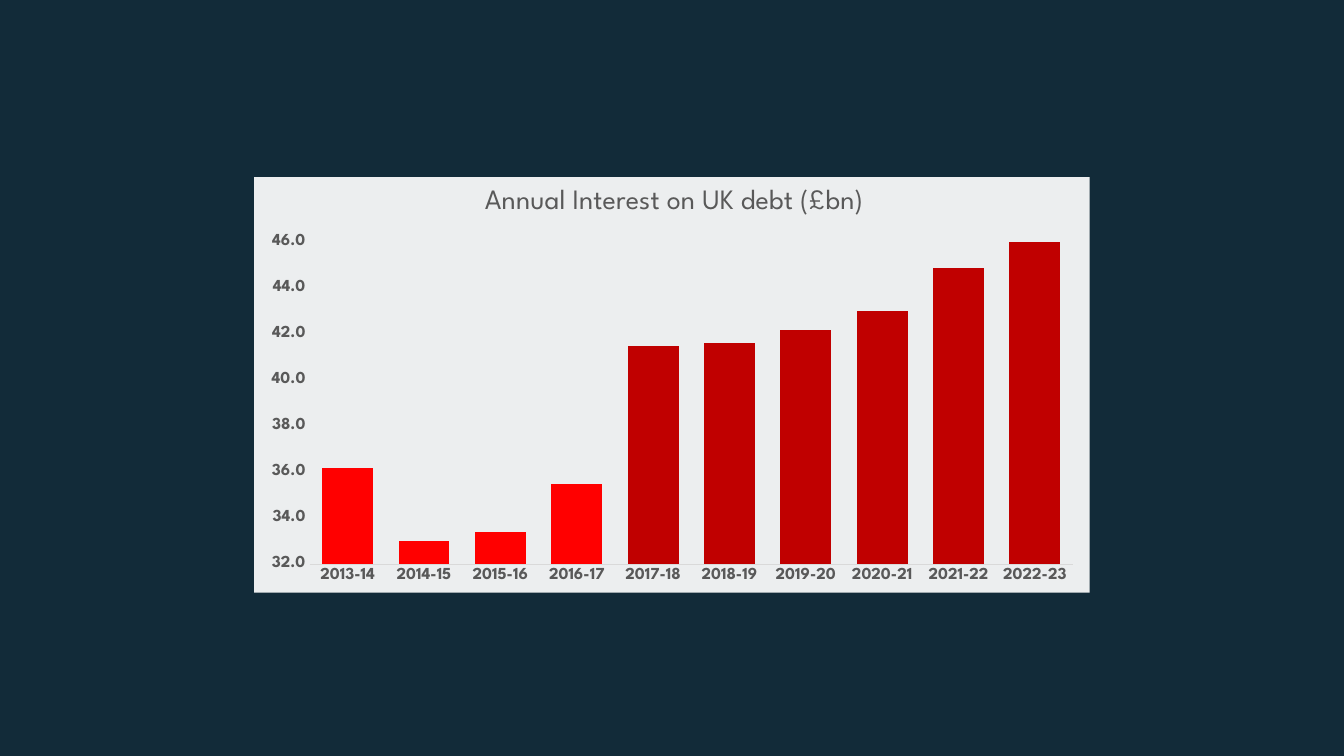
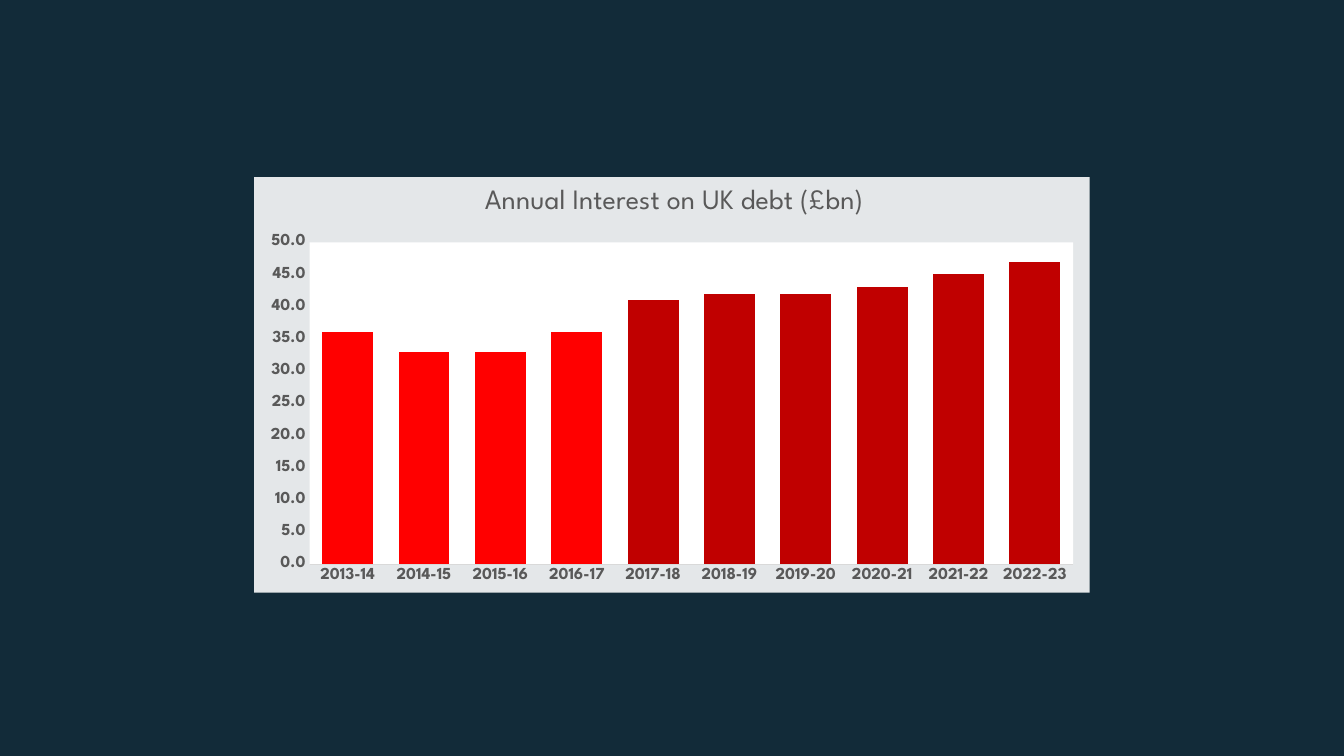
from dataclasses import dataclass

from lxml.etree import _Element
from pptx import Presentation
from pptx.chart.axis import _BaseAxis
from pptx.chart.chart import Chart
from pptx.chart.data import CategoryChartData
from pptx.dml.color import RGBColor
from pptx.enum.chart import XL_CHART_TYPE, XL_TICK_MARK
from pptx.oxml import parse_xml
from pptx.oxml.ns import nsdecls, qn
from pptx.slide import Slide
from pptx.text.text import Font
from pptx.util import Pt


@dataclass(frozen=True)
class Theme:
    background: str = "122B39"
    panel: str = "FFFFFF"
    text: str = "595959"
    axis_line: str = "D9D9D9"
    early_bar: str = "FF0000"
    late_bar: str = "C00000"
    font: str = "League Spartan"
    title_size: int = 20
    label_size: int = 12


@dataclass(frozen=True)
class Box:
    left: float
    top: float
    width: float
    height: float


@dataclass(frozen=True)
class DebtChart:
    interest: tuple[float, ...]
    minimum: float
    maximum: float
    step: float
    panel_opacity: int
    plot_filled: bool = False


THEME = Theme()
PANEL = Box(181.6, 126.6, 596.8, 296.8)
PLOT = Box(39.5, 46.5, 545.5, 230)
TITLE = "Annual Interest on UK debt (£bn)"
TITLE_X, TITLE_Y = 0.27, 0.01
YEARS = [f"{year}-{year % 100 + 1}" for year in range(2013, 2023)]
FIRST_LATE_YEAR = YEARS.index("2017-18")
CHARTS = [
    DebtChart((36.2, 33, 33.4, 35.5, 41.5, 41.6, 42.2, 43, 44.9, 46.7),
              32, 46, 2, panel_opacity=92),
    DebtChart((36, 33, 33, 36, 41, 42, 42, 43, 45, 47),
              0, 50, 5, panel_opacity=89, plot_filled=True),
]


def rgb(color: str) -> RGBColor:
    return RGBColor.from_string(color)


def style_font(font: Font, size: int, bold: bool) -> None:
    font.name = THEME.font
    font.size = Pt(size)
    font.bold = bold
    font.color.rgb = rgb(THEME.text)


def area_fill(opacity: int) -> _Element:
    return parse_xml(
        f'<c:spPr {nsdecls("c", "a")}><a:solidFill><a:srgbClr val="{THEME.panel}">'
        f'<a:alpha val="{opacity * 1000}"/></a:srgbClr></a:solidFill>'
        "<a:ln><a:noFill/></a:ln></c:spPr>"
    )


def manual_layout(target: str, **fractions: float) -> _Element:
    sizes = "".join(f'<c:{name} val="{val}"/>' for name, val in fractions.items())
    return parse_xml(
        f'<c:layout {nsdecls("c")}><c:manualLayout>{target}'
        f'<c:xMode val="edge"/><c:yMode val="edge"/>{sizes}'
        "</c:manualLayout></c:layout>"
    )


def drop_layout(parent: _Element) -> None:
    for layout in parent.findall(qn("c:layout")):
        parent.remove(layout)


def style_axis(axis: _BaseAxis) -> None:
    axis.has_major_gridlines = False
    axis.major_tick_mark = axis.minor_tick_mark = XL_TICK_MARK.NONE
    style_font(axis.tick_labels.font, THEME.label_size, True)


def add_title(chart: Chart) -> None:
    chart.has_title = True
    chart.chart_title.include_in_layout = False
    p = chart.chart_title.text_frame.paragraphs[0]
    p.text = TITLE
    style_font(p.font, THEME.title_size, False)
    title = chart._chartSpace.find(qn("c:chart")).find(qn("c:title"))
    drop_layout(title)
    title.find(qn("c:tx")).addnext(manual_layout("", x=TITLE_X, y=TITLE_Y))


def style_areas(chart: Chart, spec: DebtChart) -> None:
    body = chart._chartSpace.find(qn("c:chart"))
    body.addnext(area_fill(spec.panel_opacity))
    plot_area = body.find(qn("c:plotArea"))
    drop_layout(plot_area)
    plot_area.insert(0, manual_layout(
        '<c:layoutTarget val="inner"/>',
        x=PLOT.left / PANEL.width, y=PLOT.top / PANEL.height,
        w=PLOT.width / PANEL.width, h=PLOT.height / PANEL.height,
    ))
    if spec.plot_filled:
        plot_area.append(area_fill(100))


def add_debt_chart(s: Slide, spec: DebtChart) -> None:
    data = CategoryChartData(number_format="0.0")
    data.categories = YEARS
    data.add_series("Series 1", spec.interest)
    chart = s.shapes.add_chart(
        XL_CHART_TYPE.COLUMN_CLUSTERED,
        Pt(PANEL.left), Pt(PANEL.top), Pt(PANEL.width), Pt(PANEL.height), data,
    ).chart
    chart.has_legend = False
    chart.font.name = THEME.font
    chart.font.size = Pt(THEME.label_size)
    add_title(chart)

    style_axis(chart.category_axis)
    line = chart.category_axis.format.line
    line.color.rgb = rgb(THEME.axis_line)
    line.width = Pt(0.75)

    values = chart.value_axis
    style_axis(values)
    values.minimum_scale = spec.minimum
    values.maximum_scale = spec.maximum
    values.major_unit = spec.step
    values.tick_labels.number_format = "0.0"
    values.tick_labels.number_format_is_linked = False
    values.format.line.fill.background()

    plot = chart.plots[0]
    plot.gap_width = 50
    plot.vary_by_categories = False
    series = plot.series[0]
    series.format.fill.solid()
    series.format.fill.fore_color.rgb = rgb(THEME.early_bar)
    for i in range(FIRST_LATE_YEAR, len(YEARS)):
        fill = series.points[i].format.fill
        fill.solid()
        fill.fore_color.rgb = rgb(THEME.late_bar)

    style_areas(chart, spec)


def main() -> None:
    prs = Presentation()
    prs.slide_width, prs.slide_height = Pt(960), Pt(540)
    fill = prs.slide_master.background.fill
    fill.solid()
    fill.fore_color.rgb = rgb(THEME.background)
    for spec in CHARTS:
        add_debt_chart(prs.slides.add_slide(prs.slide_layouts[6]), spec)
    prs.save("out.pptx")


if __name__ == "__main__":
    main()
